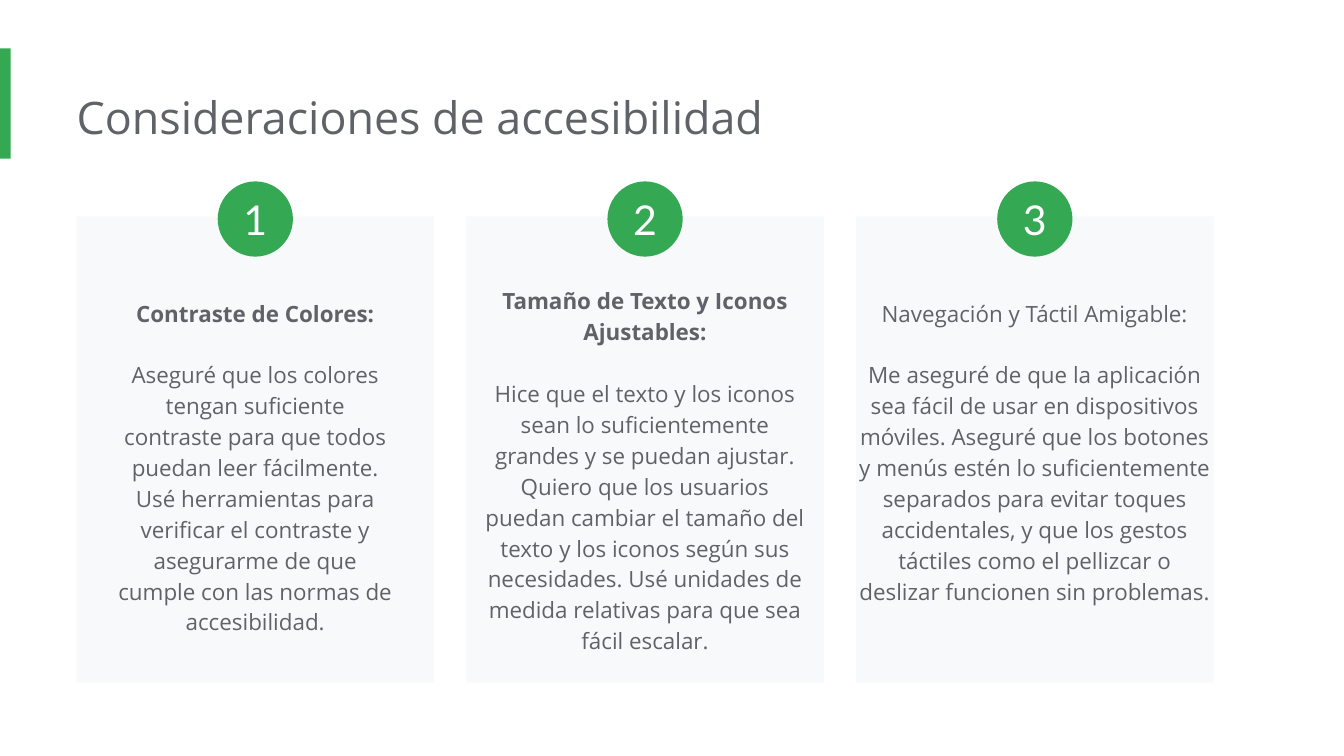
from dataclasses import dataclass

from pptx import Presentation
from pptx.dml.color import RGBColor
from pptx.enum.shapes import MSO_SHAPE
from pptx.enum.text import MSO_ANCHOR, MSO_AUTO_SIZE, PP_ALIGN
from pptx.util import Inches, Pt

RECT, OVAL = MSO_SHAPE.RECTANGLE, MSO_SHAPE.OVAL
TOP, MIDDLE = MSO_ANCHOR.TOP, MSO_ANCHOR.MIDDLE
LEFT, CENTER = PP_ALIGN.LEFT, PP_ALIGN.CENTER
GROW = MSO_AUTO_SIZE.SHAPE_TO_FIT_TEXT

GREEN, GREY, PALE, WHITE = "34A853", "5F6368", "F8F9FA", "FFFFFF"
SLIDE_W = 10
SLIDE_H = SLIDE_W * 9 / 16
CARD_X, CARD_Y, CARD_W, CARD_H = 0.57, 1.61, 2.66, 3.47
CARD_GAP = 0.24
CIRCLE_Y, CIRCLE_D = 1.35, 0.56


@dataclass
class Card:
    heading: str
    body: str
    text_y: float
    text_w: float
    text_h: float
    bold: bool = True


CARDS = [
    Card("Contraste de Colores:",
         "Aseguré que los colores tengan suficiente contraste para que todos "
         "puedan leer fácilmente. Usé herramientas para verificar el contraste "
         "y asegurarme de que cumple con las normas de accesibilidad.",
         2.1, 2.24, 3.19),
    Card("Tamaño de Texto y Iconos Ajustables:",
         "Hice que el texto y los iconos sean lo suficientemente grandes y se "
         "puedan ajustar. Quiero que los usuarios puedan cambiar el tamaño del "
         "texto y los iconos según sus necesidades. Usé unidades de medida "
         "relativas para que sea fácil escalar.",
         2.01, 2.66, 3.42),
    Card("Navegación y Táctil Amigable:",
         "Me aseguré de que la aplicación sea fácil de usar en dispositivos "
         "móviles. Aseguré que los botones y menús estén lo suficientemente "
         "separados para evitar toques accidentales, y que los gestos táctiles "
         "como el pellizcar o deslizar funcionen sin problemas.",
         2.1, 2.83, 2.49, bold=False),
]


def rgb(color: str) -> RGBColor:
    return RGBColor.from_string(color)


def add_block(s, kind, x: float, y: float, w: float, h: float, color: str):
    sp = s.shapes.add_shape(kind, Inches(x), Inches(y), Inches(w), Inches(h))
    sp.shadow.inherit = False
    sp.fill.solid()
    sp.fill.fore_color.rgb = rgb(color)
    sp.line.fill.background()
    return sp


def set_frame(tf, inset: float, anchor, left: float | None = None) -> None:
    tf.word_wrap = True
    tf.vertical_anchor = anchor
    tf.margin_left = Inches(inset if left is None else left)
    tf.margin_top = tf.margin_right = tf.margin_bottom = Inches(inset)


def add_run(p, text: str, size: float, color: str, align=CENTER,
            font: str = "Open Sans", bold: bool = False) -> None:
    p.alignment = align
    r = p.add_run()
    r.text = text
    r.font.name = font
    r.font.size = Pt(size)
    r.font.bold = bold
    r.font.color.rgb = rgb(color)


def add_title(s, text: str) -> None:
    sp = s.shapes.title
    sp.left, sp.top = Inches(0.57), Inches(0.57)
    sp.width, sp.height = Inches(7.66), Inches(0.61)
    tf = sp.text_frame
    set_frame(tf, 0.1, TOP, left=0)
    tf.auto_size = GROW
    add_run(tf.paragraphs[0], text, 24, GREY, LEFT)


def add_card(s, card: Card, x: float) -> None:
    add_block(s, RECT, x, CARD_Y, CARD_W, CARD_H, PALE)
    text_x = x + (CARD_W - card.text_w) / 2
    tf = s.shapes.add_textbox(Inches(text_x), Inches(card.text_y),
                              Inches(card.text_w), Inches(card.text_h)).text_frame
    set_frame(tf, 0.1, TOP)
    tf.auto_size = GROW
    heading, body = tf.paragraphs[0], tf.add_paragraph()
    heading.line_spacing = body.line_spacing = 1.15
    body.space_before = Pt(16.5)
    add_run(heading, card.heading, 12, GREY, bold=card.bold)
    add_run(body, card.body, 12, GREY)


def add_number(s, number: int, card_x: float) -> None:
    x = card_x + (CARD_W - CIRCLE_D) / 2
    tf = add_block(s, OVAL, x, CIRCLE_Y, CIRCLE_D, CIRCLE_D, GREEN).text_frame
    set_frame(tf, 0, MIDDLE)
    add_run(tf.paragraphs[0], str(number), 22, WHITE, font="Lato")


def main() -> None:
    prs = Presentation()
    prs.slide_width, prs.slide_height = Inches(SLIDE_W), Inches(SLIDE_H)
    s = prs.slides.add_slide(prs.slide_layouts[5])
    add_block(s, RECT, 0, 0.36, 0.08, 0.82, GREEN)
    add_title(s, "Consideraciones de accesibilidad")
    lefts = [CARD_X + i * (CARD_W + CARD_GAP) for i in range(len(CARDS))]
    for card, x in zip(CARDS, lefts):
        add_card(s, card, x)
    for number, x in enumerate(lefts, start=1):
        add_number(s, number, x)
    prs.save("out.pptx")


if __name__ == "__main__":
    main()
